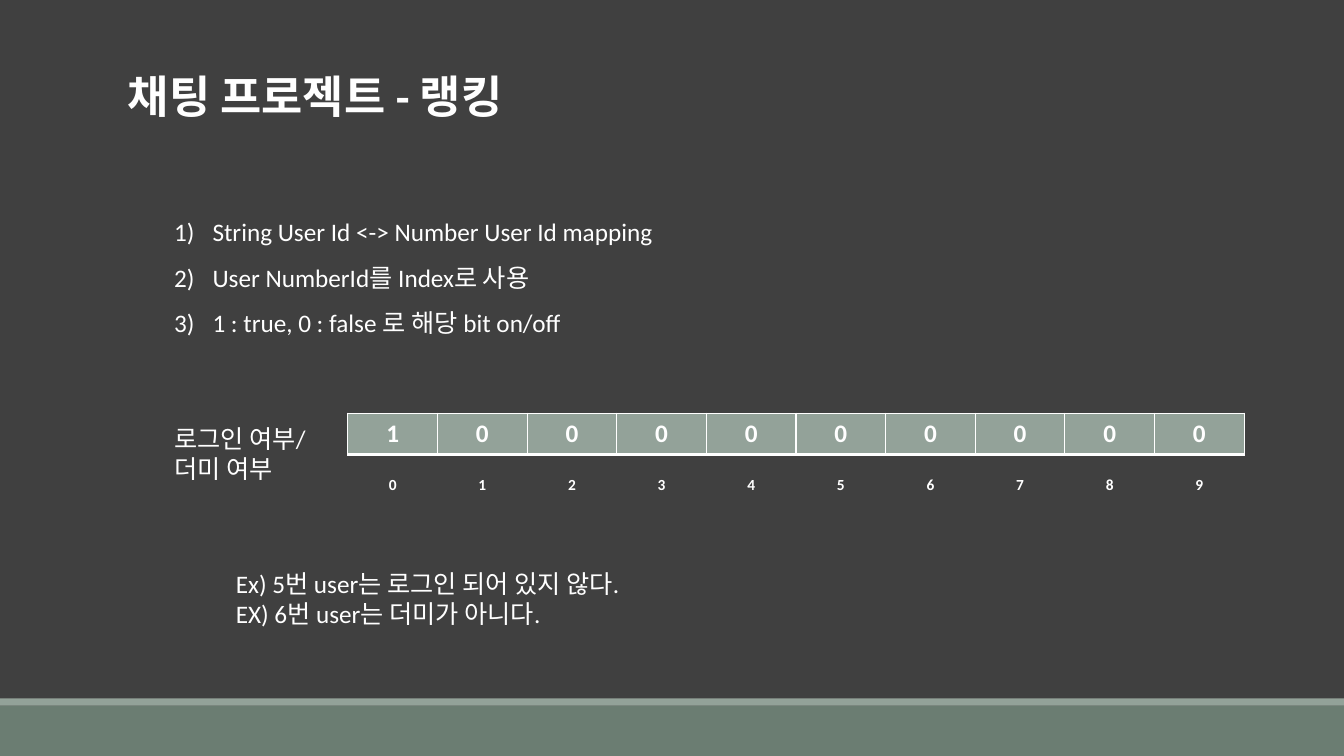
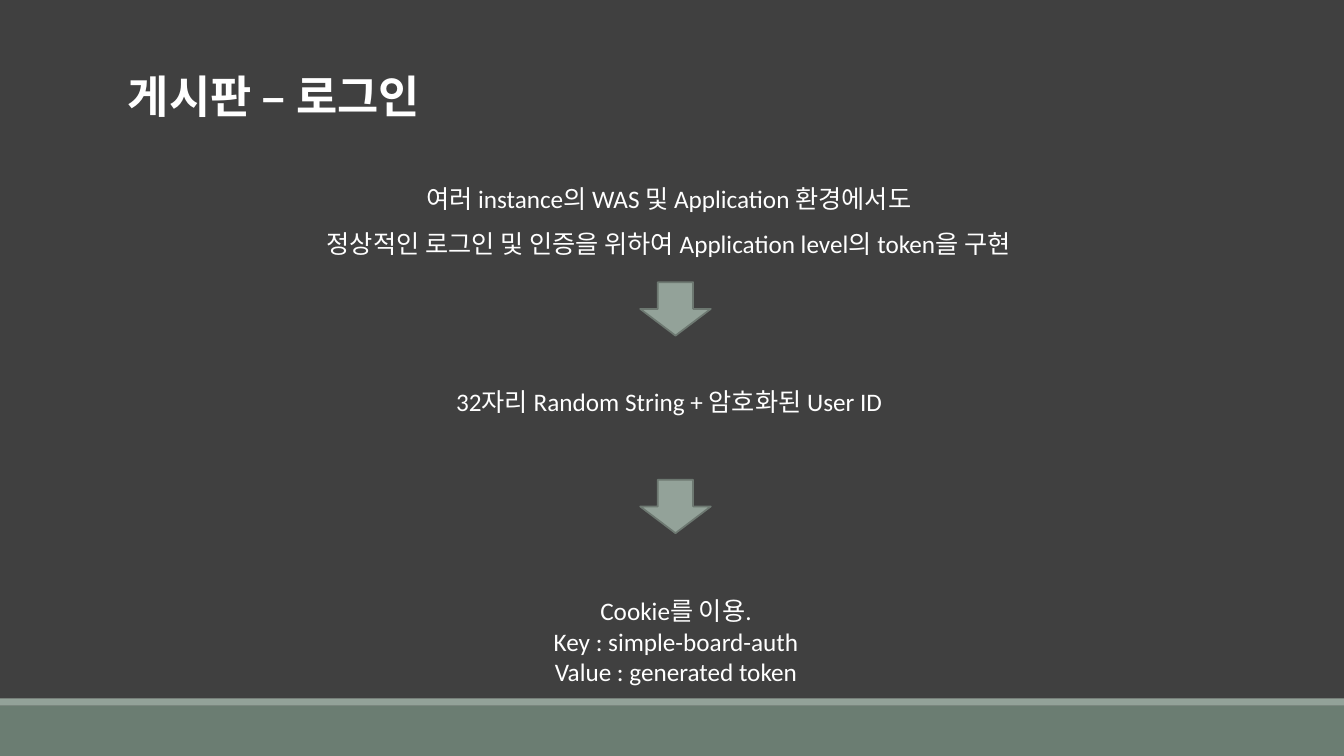
import pptx
import pptx.dml.color
import pptx.enum.shapes
import pptx.enum.text
import pptx.oxml
import pptx.oxml.ns
import pptx.util

Inches, Pt = pptx.util.Inches, pptx.util.Pt
RGB = pptx.dml.color.RGBColor.from_string
SHAPE = pptx.enum.shapes.MSO_SHAPE
ALIGN = pptx.enum.text.PP_ALIGN
qn = pptx.oxml.ns.qn

FONT = "Calibri"
COLORS = {"bg": "404040", "band": "6B7D72", "accent": "93A299", "edge": "6D7871", "text": "FFFFFF"}
NO_GRID = "{2D5ABB26-0587-4C30-8999-92F81FD0307C}"
A_NS = "http://schemas.openxmlformats.org/drawingml/2006/main"


def add_lines(p, text, size, bold=False):
    """Add one run per line of text, with line breaks between them."""
    for i, line in enumerate(text.split("\n")):
        if i:
            p.add_line_break()
        r = p.add_run()
        r.text = line
        r.font.name, r.font.size, r.font.bold = FONT, Pt(size), bold
        r.font.color.rgb = RGB(COLORS["text"])


def add_text(s, box, paragraphs, size=18, bold=False, align=ALIGN.LEFT, spacing=None):
    """Add a wrapping text box and return its paragraphs."""
    tf = s.shapes.add_textbox(*map(Inches, box)).text_frame
    tf.word_wrap = True
    for i, text in enumerate(paragraphs):
        p = tf.add_paragraph() if i else tf.paragraphs[0]
        p.alignment = align
        p.line_spacing = spacing
        add_lines(p, text, size, bold)
    return tf.paragraphs


prs = pptx.Presentation()
prs.slide_width, prs.slide_height = Inches(13.33), Inches(7.5)
background = prs.slide_master.background.fill
background.solid()
background.fore_color.rgb = RGB(COLORS["bg"])

# Shared frame: footer bands and title
slides = []
for title in ("채팅 프로젝트 - 랭킹", "게시판 – 로그인"):
    s = prs.slides.add_slide(prs.slide_layouts[6])
    for top, height, color in ((7, 0.5, "band"), (6.93, 0.07, "accent")):
        sp = s.shapes.add_shape(SHAPE.RECTANGLE, 0, Inches(top), prs.slide_width, Inches(height))
        sp.shadow.inherit = False
        sp.fill.solid()
        sp.fill.fore_color.rgb = RGB(COLORS[color])
        sp.line.fill.background()
    add_text(s, (1.17, 0.63, 7.04, 0.64), [title], size=32, bold=True)
    slides.append(s)
ranking, login = slides

# Ranking: numbered steps
steps = add_text(ranking, (1.63, 1.95, 6.24, 1.46), [
    "String User Id <-> Number User Id mapping",
    "User NumberId를 Index로 사용 ",
    "1 : true, 0 : false 로 해당 bit on/off",
], spacing=1.5)
for p in steps:
    pPr = p._p.get_or_add_pPr()
    pPr.set("marL", str(Inches(0.38)))
    pPr.set("indent", str(Inches(-0.38)))
    pPr.append(pptx.oxml.parse_xml(f'<a:buFont xmlns:a="{A_NS}" typeface="{FONT}"/>'))
    pPr.append(pptx.oxml.parse_xml(f'<a:buAutoNum xmlns:a="{A_NS}" type="arabicParenR"/>'))

# Ranking: bit row with its index row
bits = [1] + [0] * 9
borders = (("lnL", 1), ("lnR", 1), ("lnT", 1), ("lnB", 3))
for values, top, height, size, filled in ((bits, 4.1, 0.41, 18, True),
                                          (range(10), 4.67, 0.28, 11, False)):
    frame = ranking.shapes.add_table(1, 10, Inches(3.45), Inches(top), Inches(8.89), Inches(height))
    table = frame.table
    table.first_row = table.horz_banding = False
    table._tbl.tblPr.find(qn("a:tableStyleId")).text = NO_GRID
    for cell, value in zip(table.iter_cells(), values):
        p = cell.text_frame.paragraphs[0]
        p.alignment = ALIGN.CENTER
        add_lines(p, str(value), size, bold=True)
        if not filled:
            cell.fill.background()
            continue
        cell.fill.solid()
        cell.fill.fore_color.rgb = RGB(COLORS["accent"])
        tcPr = cell._tc.get_or_add_tcPr()
        for i, (side, width) in enumerate(borders):
            tcPr.insert(i, pptx.oxml.parse_xml(
                f'<a:{side} xmlns:a="{A_NS}" w="{Pt(width)}"><a:solidFill>'
                f'<a:srgbClr val="{COLORS["text"]}"/></a:solidFill></a:{side}>'))

add_text(ranking, (2.24, 5.59, 5.02, 0.71),
         ["Ex) 5번 user는 로그인 되어 있지 않다. ", "EX) 6번 user는 더미가 아니다."])
add_text(ranking, (1.63, 4.15, 1.71, 0.71), ["로그인 여부/\n더미 여부"])

# Login: three stages joined by arrows
add_text(login, (1.79, 1.62, 9.74, 0.96), [
    "여러 instance의 WAS 및 Application 환경에서도 \n"
    "정상적인 로그인 및 인증을 위하여 Application level의 token을 구현 ",
], align=ALIGN.CENTER, spacing=1.5)
add_text(login, (3.65, 3.78, 6.03, 0.4),
         ["32자리 Random String + 암호화된 User ID "], align=ALIGN.CENTER)
add_text(login, (5.04, 5.86, 3.33, 1.01),
         ["Cookie를 이용.\nKey : simple-board-auth", "Value : generated token"],
         align=ALIGN.CENTER)
for top in (2.8, 4.76):
    arrow = login.shapes.add_shape(SHAPE.DOWN_ARROW, Inches(6.35), Inches(top),
                                   Inches(0.7), Inches(0.53))
    arrow.shadow.inherit = False
    arrow.fill.solid()
    arrow.fill.fore_color.rgb = RGB(COLORS["accent"])
    arrow.line.color.rgb = RGB(COLORS["edge"])
    arrow.line.width = Pt(1.25)

prs.save("out.pptx")
